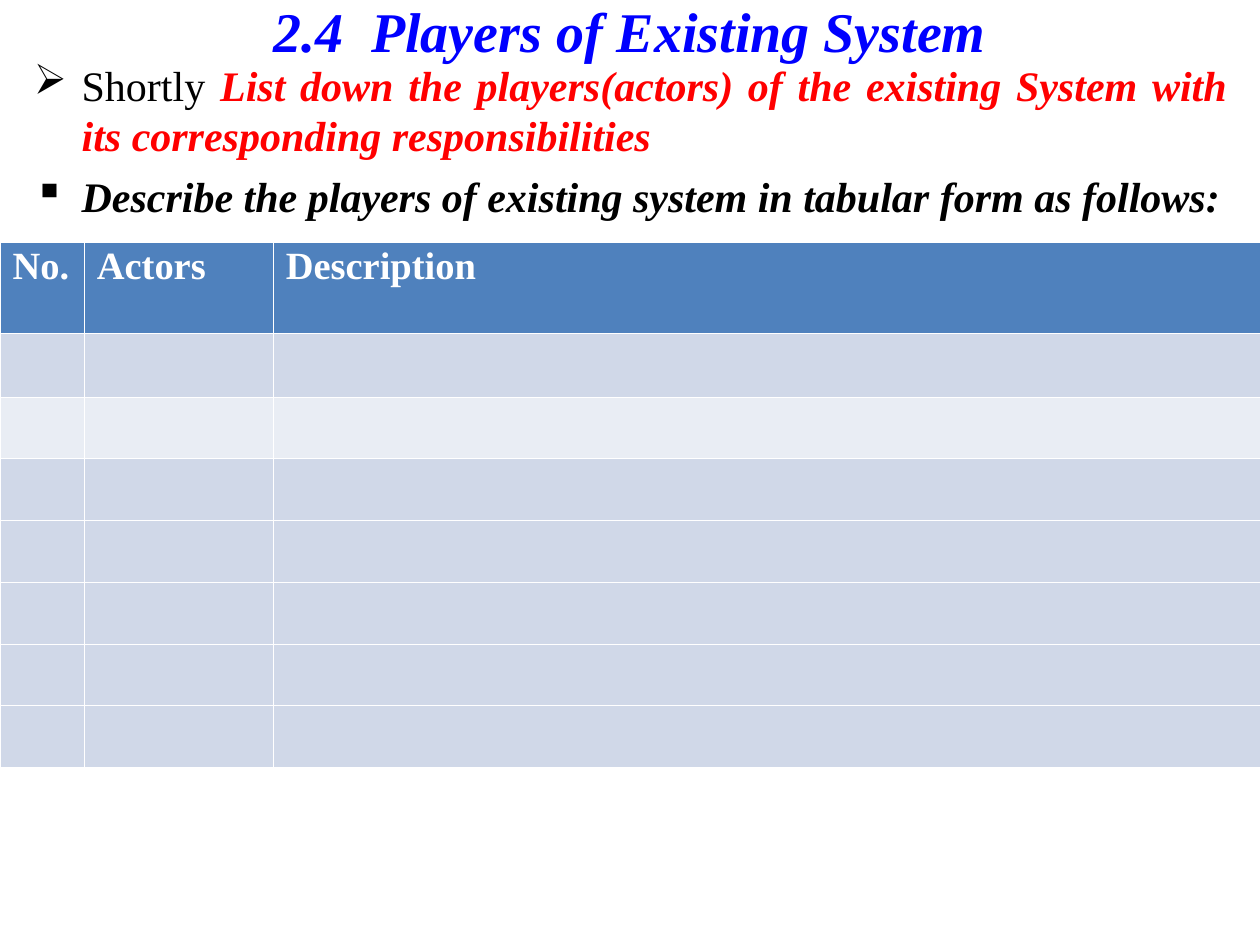
from dataclasses import dataclass

from lxml import etree
from pptx import Presentation
from pptx.dml.color import RGBColor
from pptx.enum.text import MSO_ANCHOR, PP_ALIGN
from pptx.oxml.ns import qn
from pptx.util import Inches, Pt

CENTER, JUSTIFY = PP_ALIGN.CENTER, PP_ALIGN.JUSTIFY
MIDDLE = MSO_ANCHOR.MIDDLE


@dataclass(frozen=True)
class Theme:
    font: str = "Times New Roman"
    title_size: int = 32
    body_size: int = 24
    table_size: int = 22
    title: str = "0000FF"
    text: str = "000000"
    accent: str = "FF0000"
    white: str = "FFFFFF"
    header: str = "4F81BD"
    band_dark: str = "D0D8E8"
    band_light: str = "E9EDF4"


THEME = Theme()

POINTS = [
    ("➢", [
        ("Shortly ", THEME.text, False),
        ("List down the players(actors) of the existing System with "
         "its corresponding responsibilities", THEME.accent, True),
    ]),
    ("▪", [
        ("Describe the players of existing system in tabular form as follows:",
         THEME.text, True),
    ]),
]
HEADINGS = ["No.", "Actors", "Description"]
COLUMN_WIDTHS = [0.67, 1.5, 7.83]
ROW_HEIGHTS = [0.73, 0.5] + [0.49] * 6
LIGHT_ROW = 2


def add_run(p, text, size, color, bold=False, italic=False):
    r = p.add_run()
    r.text = text
    font = r.font
    font.name, font.size = THEME.font, Pt(size)
    font.bold, font.italic = bold, italic
    font.color.rgb = RGBColor.from_string(color)


def add_text_frame(slide, box):
    tf = slide.shapes.add_textbox(*map(Inches, box)).text_frame
    tf.word_wrap = True
    return tf


def set_bullet(p, char, indent):
    """Give the paragraph a hanging bullet in the text colour."""
    pPr = p._p.get_or_add_pPr()
    pPr.set("marL", str(Inches(indent)))
    pPr.set("indent", str(-Inches(indent)))
    color = etree.SubElement(pPr, qn("a:buClr"))
    etree.SubElement(color, qn("a:srgbClr"), val=THEME.text)
    etree.SubElement(pPr, qn("a:buChar"), char=char)


def set_border(cell, side, width):
    line = etree.SubElement(cell._tc.get_or_add_tcPr(), qn(f"a:ln{side}"),
                            w=str(Pt(width)))
    fill = etree.SubElement(line, qn("a:solidFill"))
    etree.SubElement(fill, qn("a:srgbClr"), val=THEME.white)


def add_title(slide, box):
    tf = add_text_frame(slide, box)
    tf.vertical_anchor = MIDDLE
    tf.margin_top, tf.margin_bottom = Inches(0.06), 0
    p = tf.paragraphs[0]
    p.alignment = CENTER
    add_run(p, "2.4  Players of Existing System", THEME.title_size,
            THEME.title, bold=True, italic=True)


def add_points(slide, box):
    tf = add_text_frame(slide, box)
    for i, (char, runs) in enumerate(POINTS):
        p = tf.add_paragraph() if i else tf.paragraphs[0]
        p.alignment = JUSTIFY
        if i:
            p.space_before = Pt(6)
        set_bullet(p, char, 0.38)
        for text, color, strong in runs:
            add_run(p, text, THEME.body_size, color, strong, strong)


def row_fill(row):
    if row == 0:
        return THEME.header
    return THEME.band_light if row == LIGHT_ROW else THEME.band_dark


def add_actor_table(slide, box):
    table = slide.shapes.add_table(len(ROW_HEIGHTS), len(HEADINGS),
                                   *map(Inches, box)).table
    for column, width in zip(table.columns, COLUMN_WIDTHS):
        column.width = Inches(width)
    for row, height in enumerate(ROW_HEIGHTS):
        table.rows[row].height = Inches(height)
        for cell in table.rows[row].cells:
            for side in "LRTB":
                under_header = (row, side) in ((0, "B"), (1, "T"))
                set_border(cell, side, 0.75 if under_header else 0.23)
            cell.fill.solid()
            cell.fill.fore_color.rgb = RGBColor.from_string(row_fill(row))
    for cell, heading in zip(table.rows[0].cells, HEADINGS):
        p = cell.text_frame.paragraphs[0]
        p.alignment = JUSTIFY
        p.line_spacing = 0.93
        add_run(p, heading, THEME.table_size, THEME.white, bold=True)


def main():
    prs = Presentation()
    prs.slide_width, prs.slide_height = Inches(10), Inches(7.5)
    slide = prs.slides.add_slide(prs.slide_layouts[6])
    add_title(slide, (0.5, 0, 9, 0.42))
    add_points(slide, (0.17, 0.42, 9.67, 6.83))
    add_actor_table(slide, (0, 1.92, 10, sum(ROW_HEIGHTS)))
    prs.save("out.pptx")


if __name__ == "__main__":
    main()
